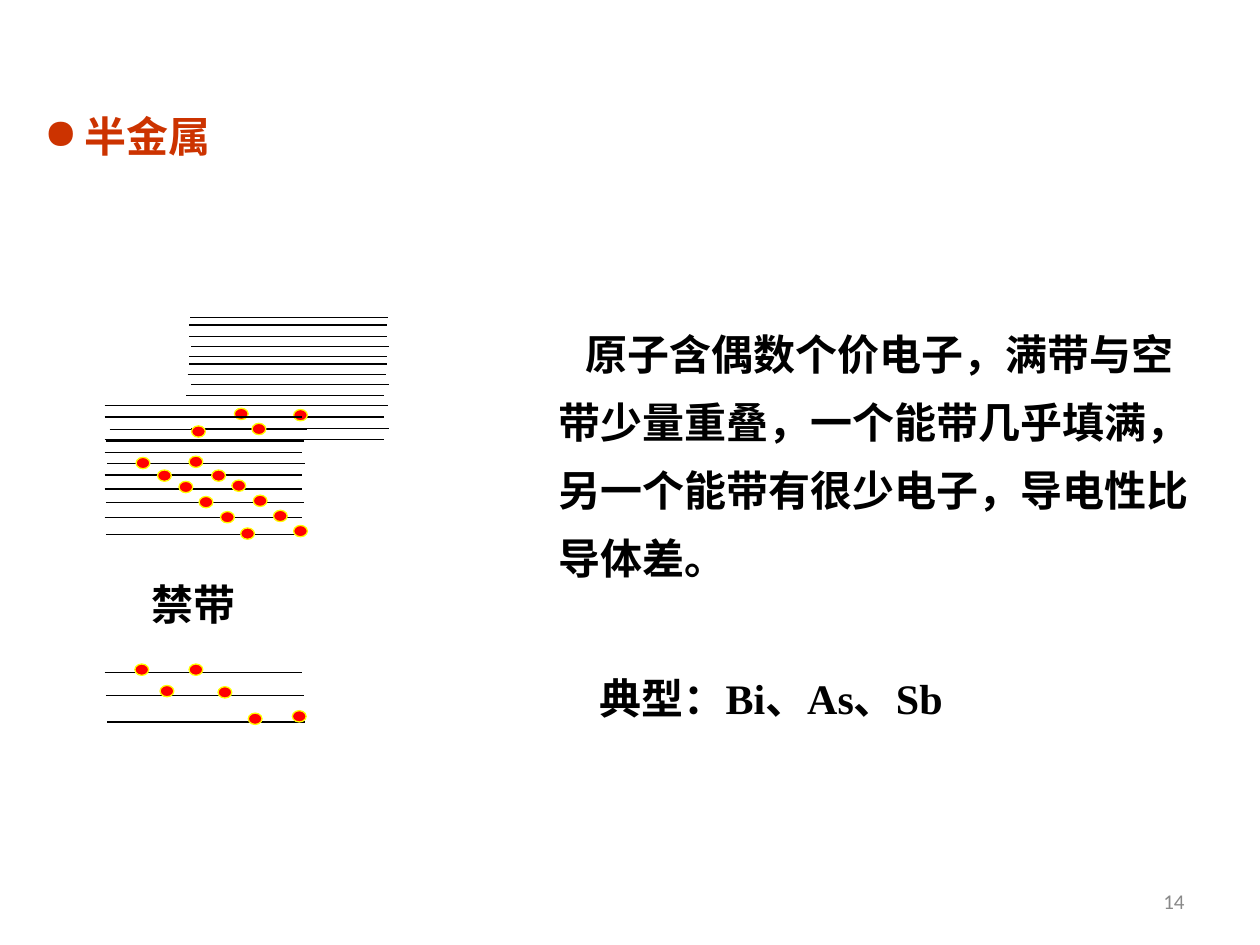
import pptx
import pptx.dml.color
import pptx.enum.shapes
import pptx.enum.text
import pptx.util
from lxml import etree
from pptx.oxml.ns import qn

# The slide is a grid of 1000 columns by 750 rows; boxes are left, top, width, height
COLUMNS, ROWS = 1000, 750
CELL = pptx.util.Inches(0.01)
LEVEL_WIDTH = 157
CJK_FONT = "Noto Sans CJK SC"
SERIF_FONT = "Times New Roman"
ALIGN = pptx.enum.text.PP_ALIGN
ANCHOR = pptx.enum.text.MSO_ANCHOR

# Energy levels and electrons as (column, row) offsets inside the band's box
EMPTY_BAND = {
    "box": (148, 252, 160, 97),
    "levels": [(3, 0), (2, 6), (2, 15), (4, 23), (2, 31), (2, 37), (1, 45), (4, 53),
               (0, 62), (3, 70), (0, 79), (4, 88), (0, 97)],
}
FILLED_BAND = {
    "box": (83, 322, 161, 106),
    "levels": [(4, 19), (1, 28), (0, 37), (2, 46), (0, 55), (0, 66), (1, 77),
               (0, 89), (1, 102)],
    "electrons": [(103, 2), (150, 3), (117, 14), (69, 16),
                  (25, 41), (42, 51), (59, 60), (75, 72), (92, 84), (108, 97),
                  (67, 40), (85, 51), (101, 59), (118, 71), (134, 83), (150, 95)],
}
OVERLAP = {"box": (83, 322, 157, 27), "levels": [(0, 0), (0, 9), (0, 27)]}
CORE_BAND = {
    "box": (83, 527, 161, 48),
    "levels": [(0, 7), (1, 25), (2, 46)],
    "electrons": [(24, 0), (67, 0), (44, 17), (90, 18), (114, 39), (149, 37)],
}


def color(value):
    return pptx.dml.color.RGBColor.from_string(value)


def place(shape, box):
    shape.left, shape.top, shape.width, shape.height = (CELL * part for part in box)


def set_bullet(paragraph, bullet, fill, margin, indent):
    properties = paragraph._p.get_or_add_pPr()
    properties.set("marL", str(CELL * margin))
    properties.set("indent", str(CELL * indent))
    if bullet is None:
        etree.SubElement(properties, qn("a:buNone"))
        return
    bullet_color = etree.SubElement(properties, qn("a:buClr"))
    etree.SubElement(bullet_color, qn("a:srgbClr"), val=fill)
    etree.SubElement(properties, qn("a:buChar"), char=bullet)


def write(shape, text, *, font=SERIF_FONT, size=24, fill="000000", bold=True,
          align=ALIGN.LEFT, anchor=ANCHOR.TOP, spacing=1.0, wrap=True,
          bullet=None, margin=0, indent=0):
    frame = shape.text_frame
    frame.auto_size = pptx.enum.text.MSO_AUTO_SIZE.NONE
    frame.word_wrap = wrap
    frame.vertical_anchor = anchor
    paragraph = frame.paragraphs[0]
    set_bullet(paragraph, bullet, fill, margin, indent)
    paragraph.alignment = align
    paragraph.line_spacing = spacing
    paragraph.space_before = pptx.util.Pt(0)
    run = paragraph.add_run()
    run.text = text
    run.font.name = font
    run.font.size = pptx.util.Pt(size)
    run.font.bold = bold
    run.font.color.rgb = color(fill)
    etree.SubElement(run._r.get_or_add_rPr(), qn("a:ea"), typeface=CJK_FONT)


def add_text(slide, box, text, **style):
    shape = slide.shapes.add_textbox(0, 0, 0, 0)
    place(shape, box)
    write(shape, text, **style)


def add_level(slide, left, top):
    line = slide.shapes.add_connector(
        pptx.enum.shapes.MSO_CONNECTOR.STRAIGHT,
        CELL * left, CELL * top, CELL * (left + LEVEL_WIDTH), CELL * top)
    line.line.color.rgb = color("000000")
    line.line.width = pptx.util.Pt(0.75)
    etree.SubElement(line._element.spPr, qn("a:effectLst"))


def add_electron(slide, left, top):
    dot = slide.shapes.add_shape(pptx.enum.shapes.MSO_SHAPE.OVAL, 0, 0, 0, 0)
    place(dot, (left, top, 11, 9))
    dot.shadow.inherit = False
    dot.fill.solid()
    dot.fill.fore_color.rgb = color("FF0000")
    dot.line.color.rgb = color("FFFF00")
    dot.line.width = pptx.util.Pt(0.75)


def add_band(slide, box, levels, electrons=()):
    left, top = box[:2]
    for column, row in levels:
        add_level(slide, left + column, top + row)
    for column, row in electrons:
        add_electron(slide, left + column, top + row)


def add_heading(slide, box):
    place(slide.shapes.title, box)
    write(slide.shapes.title, "半金属", font=CJK_FONT, fill="CC3300",
          bullet="●", margin=32, indent=-32)


def add_description(slide, box):
    body = slide.placeholders[1]
    place(body, box)
    write(body, "原子含偶数个价电子，满带与空带少量重叠，一个能带几乎填满，"
                "另一个能带有很少电子，导电性比导体差。", spacing=1.35, indent=22)


def main():
    presentation = pptx.Presentation()
    presentation.slide_width = CELL * COLUMNS
    presentation.slide_height = CELL * ROWS
    slide = presentation.slides.add_slide(presentation.slide_layouts[1])

    # Heading and explanation
    add_heading(slide, (25, 83, 300, 50))
    add_description(slide, (433, 242, 525, 226))
    add_text(slide, (466, 525, 365, 54), "典型：Bi、As、Sb", spacing=1.1, wrap=False)

    # Band diagram
    for band in (EMPTY_BAND, FILLED_BAND, OVERLAP, CORE_BAND):
        add_band(slide, **band)
    add_text(slide, (67, 454, 173, 50), "禁带", font="Calibri", align=ALIGN.CENTER)

    # Page number
    add_text(slide, (717, 695, 233, 40), "14", font="Calibri", size=12, fill="898989",
             bold=False, align=ALIGN.RIGHT, anchor=ANCHOR.MIDDLE)
    presentation.save("out.pptx")


if __name__ == "__main__":
    main()
